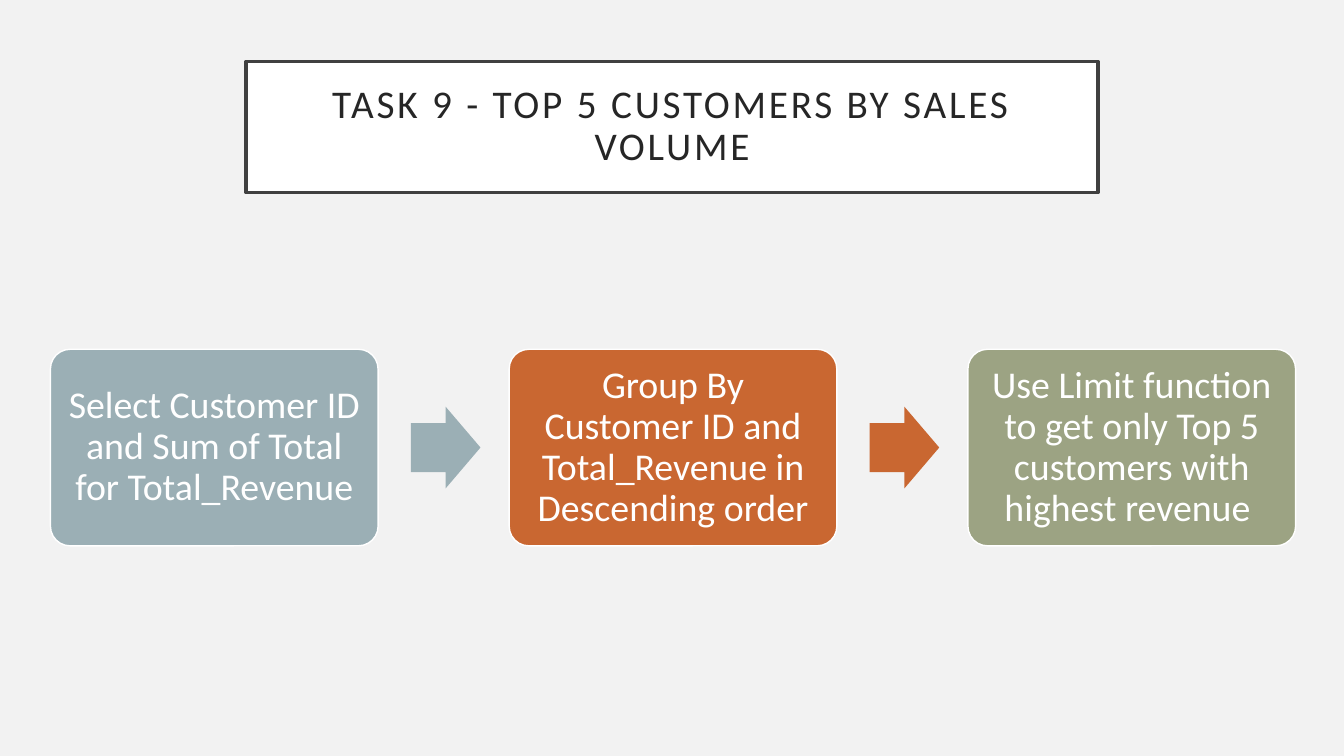
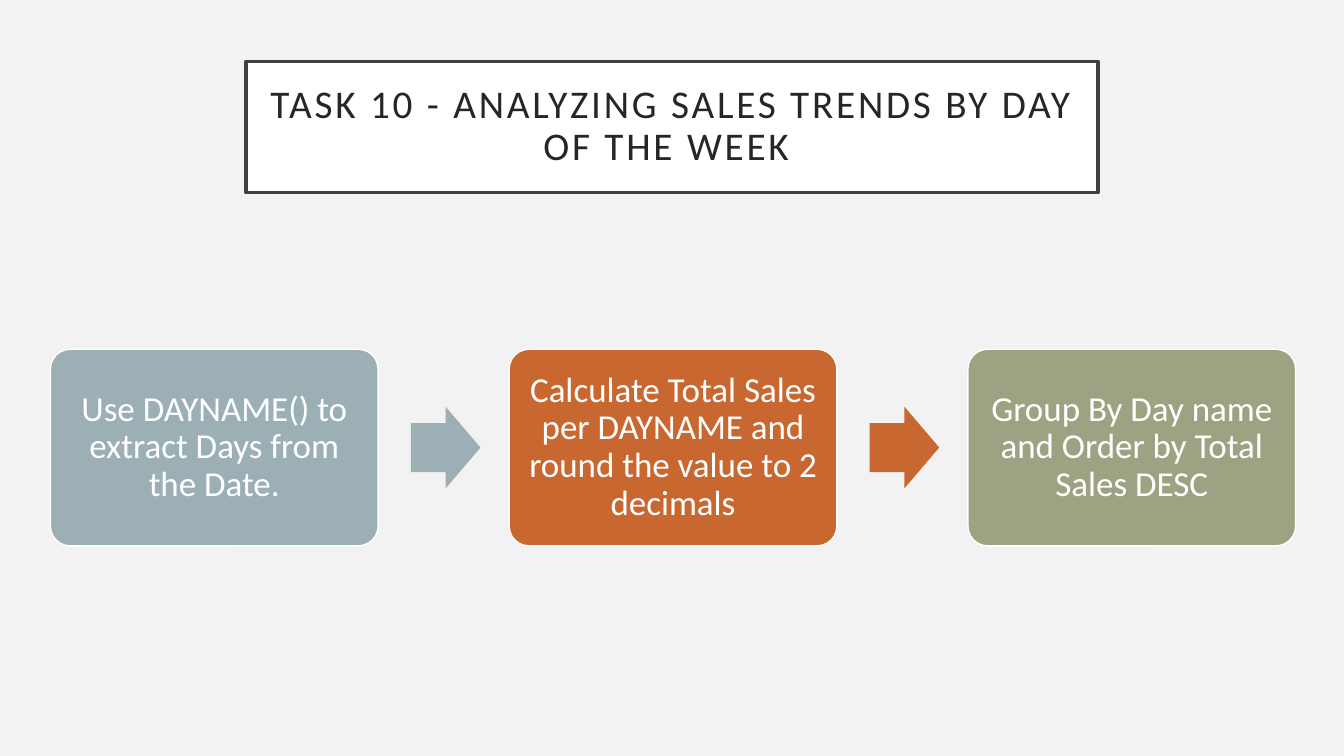
from dataclasses import dataclass

from pptx import Presentation
from pptx.dml.color import RGBColor as RGB
from pptx.enum.shapes import MSO_SHAPE as SHAPE
from pptx.enum.text import MSO_ANCHOR as ANCHOR, PP_ALIGN as ALIGN
from pptx.util import Inches, Pt


@dataclass(frozen=True)
class Theme:
    font: str = "Calibri"
    background: RGB = RGB(0xF2, 0xF2, 0xF2)
    white: RGB = RGB(0xFF, 0xFF, 0xFF)
    title_line: RGB = RGB(0x40, 0x40, 0x40)
    title_text: RGB = RGB(0x26, 0x26, 0x26)
    steps: tuple = (
        RGB(0x9B, 0xAF, 0xB5),
        RGB(0xC9, 0x67, 0x31),
        RGB(0x9C, 0xA3, 0x83),
    )
    title_size: int = 28
    title_spacing: int = 2


THEME = Theme()

STEP_LEFT, STEP_WIDTH, STEP_HEIGHT = 0.5, 3.25, 1.95
STEP_PITCH = STEP_WIDTH * 1.4
ROW_MIDDLE = 4.44
ARROW_OFFSET = STEP_WIDTH * 1.1
ARROW_WIDTH, ARROW_HEIGHT = 0.69, 0.81

FLOWS = (
    ("TASK 9 - TOP 5 CUSTOMERS BY SALES VOLUME", 27, (
        "Select Customer ID and Sum of Total for Total_Revenue",
        "Group By Customer ID and Total_Revenue in Descending order",
        "Use Limit function to get only Top 5 customers with highest revenue ",
    )),
    ("TASK 10 - ANALYZING SALES TRENDS BY DAY OF THE WEEK ", 25, (
        "Use DAYNAME() to extract Days from the Date.",
        "Calculate Total Sales per DAYNAME and round the value to 2 decimals",
        "Group By Day name and Order by Total Sales DESC",
    )),
)


def add_shape(s, kind, box, fill, line=None, line_width=1, adjustments=()):
    sp = s.shapes.add_shape(kind, *map(Inches, box))
    sp.shadow.inherit = False
    sp.fill.solid()
    sp.fill.fore_color.rgb = fill
    if line is None:
        sp.line.fill.background()
    else:
        sp.line.color.rgb = line
        sp.line.width = Pt(line_width)
    for i, value in enumerate(adjustments):
        sp.adjustments[i] = value
    return sp


def set_text(sp, text, size, color, inset):
    tf = sp.text_frame
    tf.word_wrap = True
    tf.vertical_anchor = ANCHOR.MIDDLE
    tf.margin_left = tf.margin_right = Inches(inset)
    tf.margin_top = tf.margin_bottom = Inches(inset)
    p = tf.paragraphs[0]
    p.text = text
    p.alignment = ALIGN.CENTER
    p.line_spacing = 0.9
    p.font.name = THEME.font
    p.font.size = Pt(size)
    p.font.color.rgb = color
    return p


def add_title(s, text):
    sp = add_shape(s, SHAPE.RECTANGLE, (2.44, 0.61, 8.45, 1.3),
                   THEME.white, THEME.title_line, 2.5)
    p = set_text(sp, text, THEME.title_size, THEME.title_text, 0.2)
    spacing = str(THEME.title_spacing * 100)
    p._p.get_or_add_pPr().get_or_add_defRPr().set("spc", spacing)


def add_step(s, left, text, size, color):
    box = (left, ROW_MIDDLE - STEP_HEIGHT / 2, STEP_WIDTH, STEP_HEIGHT)
    sp = add_shape(s, SHAPE.ROUNDED_RECTANGLE, box, color, THEME.white,
                   adjustments=(0.1,))
    set_text(sp, text, size, THEME.white, size * 0.004)


def add_arrow(s, left, color):
    box = (left, ROW_MIDDLE - ARROW_HEIGHT / 2, ARROW_WIDTH, ARROW_HEIGHT)
    add_shape(s, SHAPE.RIGHT_ARROW, box, color, adjustments=(0.6, 0.5))


def add_flow(s, steps, size):
    for i, (text, color) in enumerate(zip(steps, THEME.steps)):
        left = STEP_LEFT + i * STEP_PITCH
        add_step(s, left, text, size, color)
        if i < len(steps) - 1:
            add_arrow(s, left + ARROW_OFFSET, color)


def main():
    prs = Presentation()
    prs.slide_width, prs.slide_height = Inches(13.33), Inches(7.5)
    fill = prs.slide_master.background.fill
    fill.solid()
    fill.fore_color.rgb = THEME.background
    for title, size, steps in FLOWS:
        s = prs.slides.add_slide(prs.slide_layouts[6])
        add_title(s, title)
        add_flow(s, steps, size)
    prs.save("out.pptx")


if __name__ == "__main__":
    main()
